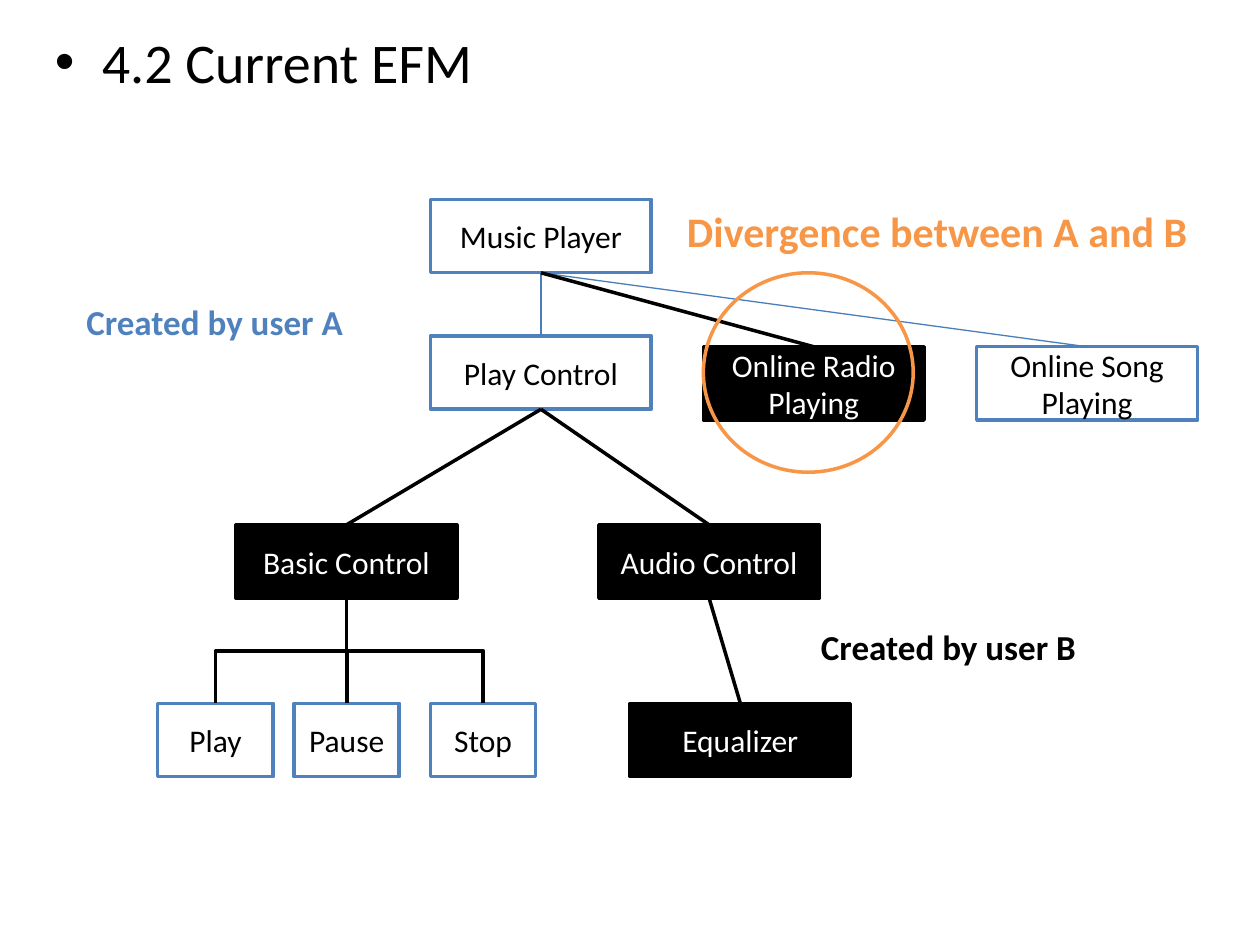
from dataclasses import dataclass

from lxml.etree import SubElement
from pptx import Presentation
from pptx.dml.color import RGBColor
from pptx.enum.shapes import MSO_CONNECTOR as Link, MSO_SHAPE as Preset
from pptx.enum.text import MSO_ANCHOR as Anchor, MSO_AUTO_SIZE as AutoSize, PP_ALIGN as Align
from pptx.oxml.ns import qn
from pptx.shapes.autoshape import Shape
from pptx.shapes.connector import Connector
from pptx.slide import Slide
from pptx.text.text import TextFrame
from pptx.util import Cm, Pt

BLACK = RGBColor(0x00, 0x00, 0x00)
WHITE = RGBColor(0xFF, 0xFF, 0xFF)
BLUE = RGBColor(0x4F, 0x81, 0xBD)
LINK_BLUE = RGBColor(0x4A, 0x7E, 0xBB)
ORANGE = RGBColor(0xF7, 0x96, 0x46)
FONT = "Calibri"
BOX_HEIGHT = 1.48
BOTTOM, TOP = 2, 0


@dataclass
class Feature:
    name: str
    left: float
    top: float
    by_user_b: bool = False
    width: float = 4.45


@dataclass
class Relation:
    parent: str
    child: str
    color: RGBColor = BLACK
    weight: float = 2
    elbow: bool = False


@dataclass
class Label:
    text: str
    left: float
    top: float
    width: float
    height: float
    size: int
    color: RGBColor


FEATURES = [
    Feature("Music Player", 8.68, 4.02),
    Feature("Play Control", 8.68, 6.77),
    Feature("Online Radio Playing", 14.18, 6.99, True),
    Feature("Online Song Playing", 19.69, 6.99),
    Feature("Basic Control", 4.76, 10.58, True),
    Feature("Audio Control", 12.07, 10.58, True),
    Feature("Play", 3.18, 14.18, width=2.33),
    Feature("Pause", 5.93, 14.18, width=2.12),
    Feature("Stop", 8.68, 14.18, width=2.12),
    Feature("Equalizer", 12.7, 14.18, True),
]
RELATIONS = [
    Relation("Music Player", "Play Control", LINK_BLUE, 0.75),
    Relation("Music Player", "Online Song Playing", LINK_BLUE, 0.75),
    Relation("Music Player", "Online Radio Playing"),
    Relation("Play Control", "Basic Control"),
    Relation("Play Control", "Audio Control"),
    Relation("Audio Control", "Equalizer"),
    Relation("Basic Control", "Play", elbow=True),
    Relation("Basic Control", "Pause", elbow=True),
    Relation("Basic Control", "Stop", elbow=True),
]
LABELS = [
    Label("Created by user A", 1.49, 5.93, 5.72, 1.11, 20, BLUE),
    Label("Created by user B", 16.3, 12.49, 5.67, 1.11, 20, BLACK),
    Label("Divergence between A and B", 13.6, 4.02, 10.62, 1.28, 24, ORANGE),
]


def write(frame: TextFrame, text: str, size: int, color: RGBColor,
          align: Align = Align.LEFT, bold: bool = False) -> None:
    frame.text = text
    paragraph = frame.paragraphs[0]
    paragraph.alignment = align
    font = paragraph.runs[0].font
    font.name, font.size, font.bold = FONT, Pt(size), bold
    font.color.rgb = color


def set_heading(slide: Slide, text: str) -> None:
    heading = slide.shapes.title
    heading.left, heading.top = Cm(0.85), Cm(0.42)
    heading.width, heading.height = Cm(22.86), Cm(2.12)
    frame = heading.text_frame
    frame.vertical_anchor = Anchor.TOP
    frame.auto_size = AutoSize.NONE
    write(frame, text, 32, BLACK)
    properties = frame.paragraphs[0]._p.get_or_add_pPr()
    properties.set("marL", str(Cm(0.95)))
    properties.set("indent", str(-Cm(0.95)))
    SubElement(properties, qn("a:buFont"), typeface="Arial")
    SubElement(properties, qn("a:buChar"), char="•")


def draw_feature(slide: Slide, feature: Feature) -> Shape:
    box = slide.shapes.add_shape(Preset.RECTANGLE, Cm(feature.left), Cm(feature.top),
                                 Cm(feature.width), Cm(BOX_HEIGHT))
    box.shadow.inherit = False
    box.fill.solid()
    box.fill.fore_color.rgb = BLACK if feature.by_user_b else WHITE
    box.line.color.rgb = BLACK if feature.by_user_b else BLUE
    box.line.width = Pt(2)
    box.text_frame.vertical_anchor = Anchor.MIDDLE
    write(box.text_frame, feature.name, 18,
          WHITE if feature.by_user_b else BLACK, Align.CENTER)
    return box


def turn_downward(connector: Connector) -> None:
    start_x, start_y = connector.begin_x, connector.begin_y
    end_x, end_y = connector.end_x, connector.end_y
    across, down = abs(end_x - start_x), end_y - start_y
    frame = connector._element.spPr.find(qn("a:xfrm"))
    frame.attrib.clear()
    if end_x > start_x:
        frame.set("rot", "16200000")
        frame.set("flipH", "1")
    else:
        frame.set("rot", "5400000")
    offset, extent = frame.find(qn("a:off")), frame.find(qn("a:ext"))
    offset.set("x", str((start_x + end_x - down) // 2))
    offset.set("y", str((start_y + end_y - across) // 2))
    extent.set("cx", str(down))
    extent.set("cy", str(across))


def draw_relation(slide: Slide, relation: Relation, boxes: dict[str, Shape]) -> None:
    kind = Link.ELBOW if relation.elbow else Link.STRAIGHT
    connector = slide.shapes.add_connector(kind, 0, 0, 0, 0)
    connector.begin_connect(boxes[relation.parent], BOTTOM)
    connector.end_connect(boxes[relation.child], TOP)
    if relation.elbow:
        turn_downward(connector)
    connector.line.color.rgb = relation.color
    connector.line.width = Pt(relation.weight)
    SubElement(connector._element.spPr, qn("a:effectLst"))


def draw_label(slide: Slide, label: Label) -> None:
    box = slide.shapes.add_textbox(Cm(label.left), Cm(label.top),
                                   Cm(label.width), Cm(label.height))
    box.text_frame.word_wrap = False
    box.text_frame.auto_size = AutoSize.SHAPE_TO_FIT_TEXT
    write(box.text_frame, label.text, label.size, label.color, bold=True)


def draw_divergence(slide: Slide) -> None:
    circle = slide.shapes.add_shape(Preset.OVAL, Cm(14.18), Cm(5.5), Cm(4.23), Cm(4.02))
    circle.shadow.inherit = False
    circle.fill.background()
    circle.line.color.rgb = ORANGE
    circle.line.width = Pt(2)


def main() -> None:
    deck = Presentation()
    deck.slide_width, deck.slide_height = Cm(25.4), Cm(19.05)
    slide = deck.slides.add_slide(deck.slide_layouts[5])
    set_heading(slide, "4.2 Current EFM")
    boxes = {feature.name: draw_feature(slide, feature) for feature in FEATURES}
    for relation in RELATIONS:
        draw_relation(slide, relation, boxes)
    draw_divergence(slide)
    for label in LABELS:
        draw_label(slide, label)
    deck.save("out.pptx")


if __name__ == "__main__":
    main()
